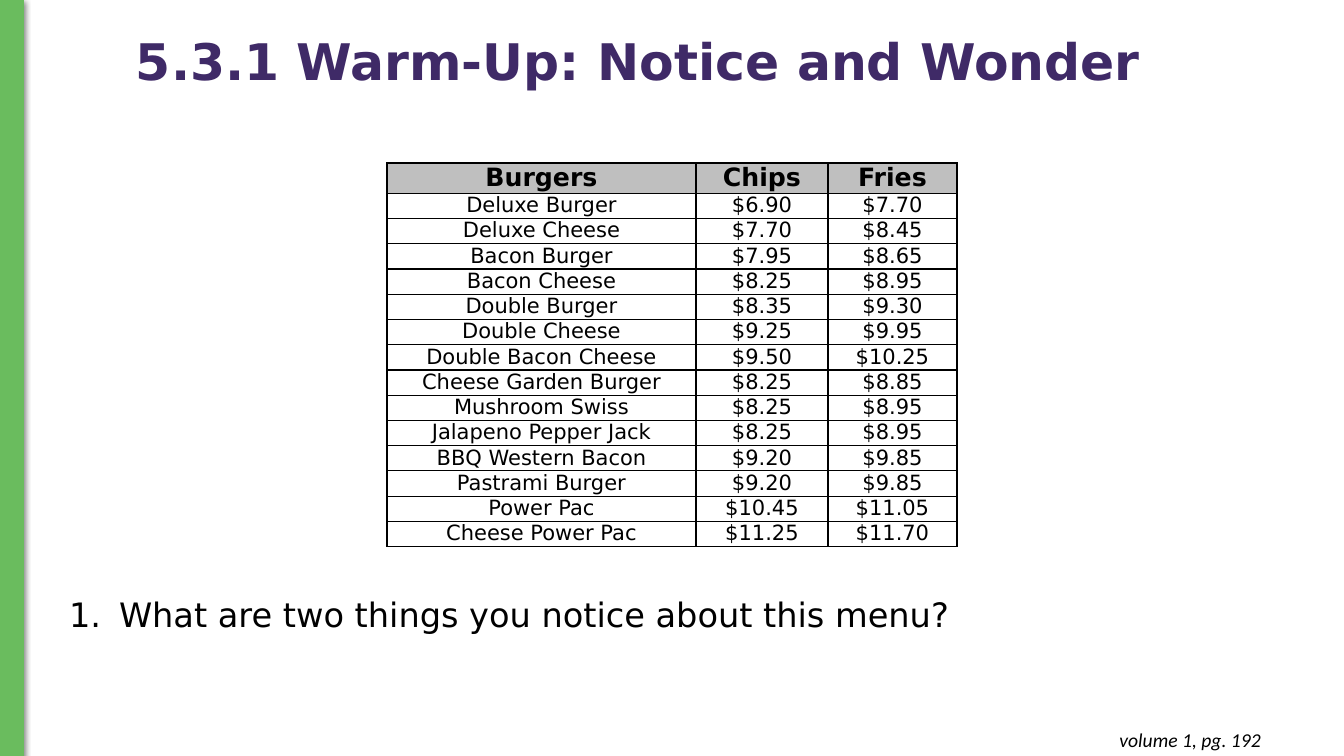
from lxml.etree import SubElement
from pptx import Presentation
from pptx.dml.color import RGBColor
from pptx.enum.shapes import MSO_SHAPE as Shape
from pptx.enum.text import MSO_ANCHOR as Anchor, PP_ALIGN as Align
from pptx.oxml import parse_xml
from pptx.oxml.ns import nsdecls, qn
from pptx.util import Pt

SCALE = 12192000 / 1344
GREEN = RGBColor(0x6A, 0xBC, 0x5E)
PURPLE = RGBColor(0x3F, 0x2A, 0x67)
BLACK = RGBColor(0, 0, 0)
GRAY = RGBColor(0xBF, 0xBF, 0xBF)
SANS = "DejaVu Sans"

MENU = [
    ("Burgers", "Chips", "Fries"),
    ("Deluxe Burger", "$6.90", "$7.70"),
    ("Deluxe Cheese", "$7.70", "$8.45"),
    ("Bacon Burger", "$7.95", "$8.65"),
    ("Bacon Cheese", "$8.25", "$8.95"),
    ("Double Burger", "$8.35", "$9.30"),
    ("Double Cheese", "$9.25", "$9.95"),
    ("Double Bacon Cheese", "$9.50", "$10.25"),
    ("Cheese Garden Burger", "$8.25", "$8.85"),
    ("Mushroom Swiss", "$8.25", "$8.95"),
    ("Jalapeno Pepper Jack", "$8.25", "$8.95"),
    ("BBQ Western Bacon", "$9.20", "$9.85"),
    ("Pastrami Burger", "$9.20", "$9.85"),
    ("Power Pac", "$10.45", "$11.05"),
    ("Cheese Power Pac", "$11.25", "$11.70"),
]
COLUMN_WIDTHS = (309, 132, 129)
HEADER_HEIGHT = 30
BODY_HEIGHT = 353


def px(length):
    """Turn pixels into EMU."""
    return round(length * SCALE)


def set_font(para, size, color=BLACK, name=SANS, bold=False, italic=False):
    """Give a paragraph its font."""
    font = para.font
    font.size, font.name = Pt(size), name
    font.bold, font.italic = bold, italic
    font.color.rgb = color


def add_bar(page, left, top, width, height):
    """Add the green side bar with its soft shadow."""
    bar = page.shapes.add_shape(Shape.RECTANGLE, *map(px, (left, top, width, height)))
    bar.fill.solid()
    bar.fill.fore_color.rgb = GREEN
    bar.line.color.rgb = GREEN
    bar.line.width = Pt(0.75)
    bar.shadow.inherit = False
    effects = bar._element.spPr.find(qn("a:effectLst"))
    effects.append(parse_xml(
        f'<a:outerShdw {nsdecls("a")} blurRad="{Pt(4.5)}" dist="{Pt(1.5)}" '
        'dir="5400000" rotWithShape="0"><a:srgbClr val="000000">'
        '<a:alpha val="50000"/></a:srgbClr></a:outerShdw>'))


def add_text(page, text, left, top, width, height, inset=5, anchor=Anchor.TOP):
    """Add a wrapping text box and return its paragraph."""
    box = page.shapes.add_textbox(*map(px, (left, top, width, height)))
    frame = box.text_frame
    frame.word_wrap = True
    frame.vertical_anchor = anchor
    frame.margin_left = frame.margin_right = px(10)
    frame.margin_top = frame.margin_bottom = px(inset)
    para = frame.paragraphs[0]
    para.text = text
    return para


def number(para, indent):
    """Number a paragraph with a hanging indent."""
    props = para._p.get_or_add_pPr()
    props.set("marL", str(px(indent)))
    props.set("indent", str(-px(indent)))
    color = SubElement(props, qn("a:buClr"))
    SubElement(color, qn("a:srgbClr"), val=str(BLACK))
    SubElement(props, qn("a:buAutoNum"), type="arabicPeriod")


def add_borders(cell):
    """Draw a thin black line on each side of a cell."""
    props = cell._tc.get_or_add_tcPr()
    for side in ("lnL", "lnR", "lnT", "lnB"):
        line = SubElement(props, qn(f"a:{side}"), w=str(Pt(1)))
        fill = SubElement(line, qn("a:solidFill"))
        SubElement(fill, qn("a:srgbClr"), val=str(BLACK))


def fill_cell(cell, text, header):
    """Write and style one menu cell."""
    cell.margin_left = cell.margin_right = px(7)
    cell.margin_top = cell.margin_bottom = 0
    add_borders(cell)
    if header:
        cell.fill.solid()
        cell.fill.fore_color.rgb = GRAY
    else:
        cell.fill.background()
    para = cell.text_frame.paragraphs[0]
    para.text = text
    para.alignment = Align.CENTER
    set_font(para, 18 if header else 15, bold=header)


def add_menu(page, left, top):
    """Add the menu table."""
    size = (sum(COLUMN_WIDTHS), HEADER_HEIGHT + BODY_HEIGHT)
    table = page.shapes.add_table(
        len(MENU), len(COLUMN_WIDTHS), *map(px, (left, top, *size))).table
    table.first_row = table.horz_banding = False
    for column, width in zip(table.columns, COLUMN_WIDTHS):
        column.width = px(width)
    for index, (row, texts) in enumerate(zip(table.rows, MENU)):
        header = index == 0
        row.height = px(HEADER_HEIGHT if header else BODY_HEIGHT / (len(MENU) - 1))
        for cell, text in zip(row.cells, texts):
            fill_cell(cell, text, header)


def main():
    """Build the warm-up slide."""
    deck = Presentation()
    deck.slide_width, deck.slide_height = px(1344), px(756)
    page = deck.slides.add_slide(deck.slide_layouts[6])

    add_bar(page, 0, 0, 24, 757)
    title = add_text(page, "5.3.1 Warm-Up: Notice and Wonder",
                     126, 31, 1159, 66, anchor=Anchor.MIDDLE)
    title.line_spacing = 0.9
    set_font(title, 36, PURPLE, bold=True)

    add_menu(page, 387, 163)

    question = add_text(page, "What are two things you notice about this menu?",
                        59, 589, 1159, 92)
    number(question, 50)
    set_font(question, 24)

    source = add_text(page, "volume 1, pg. 192", 981, 718, 290, 44, inset=10)
    source.alignment = Align.RIGHT
    set_font(source, 14, name="Calibri", italic=True)

    deck.save("out.pptx")


if __name__ == "__main__":
    main()
